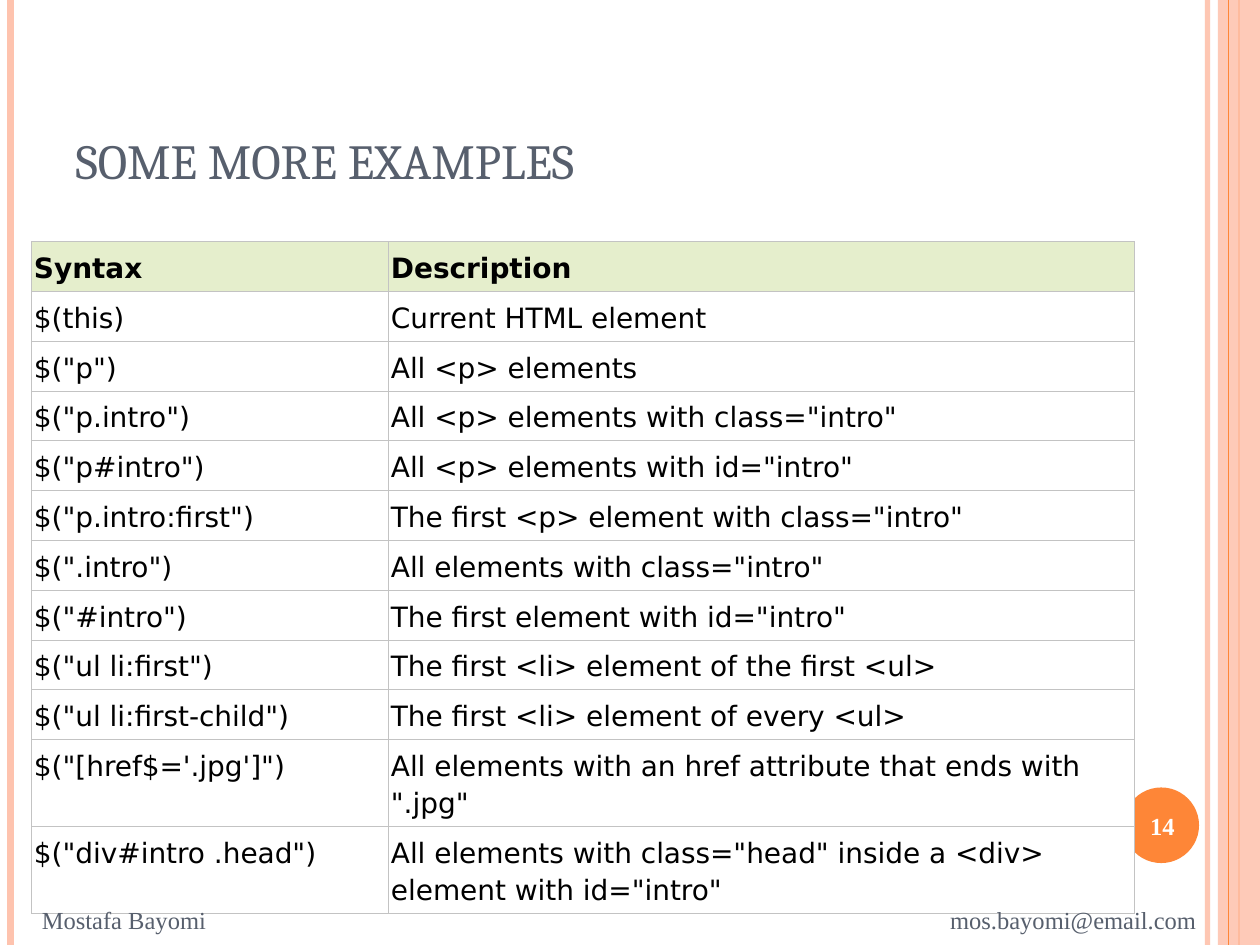
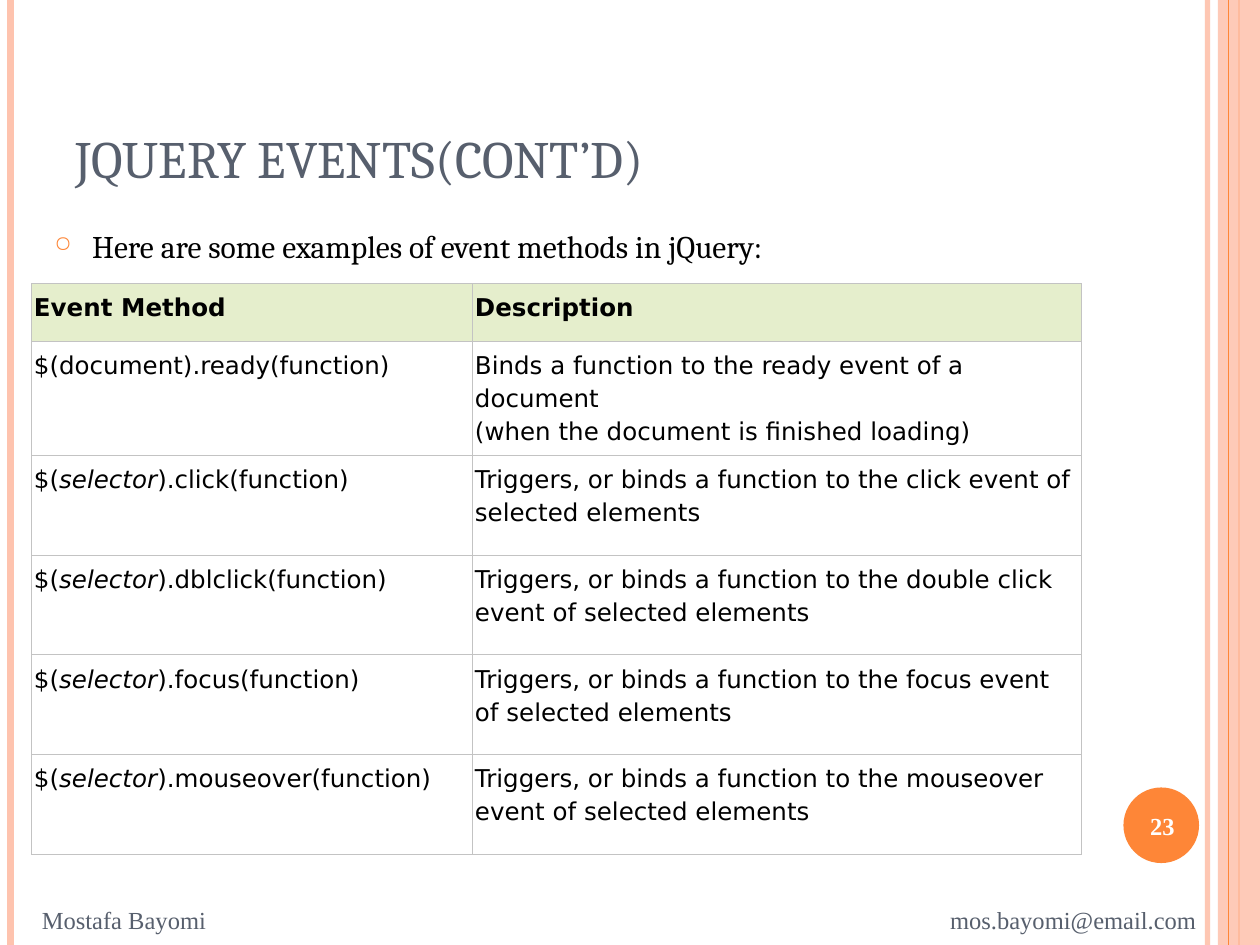
from collections import namedtuple
from copy import deepcopy

from lxml.etree import SubElement
from pptx import Presentation
from pptx.dml.color import RGBColor
from pptx.enum.shapes import MSO_CONNECTOR as Connector, MSO_SHAPE as Preset
from pptx.enum.text import MSO_ANCHOR as Anchor, MSO_AUTO_SIZE as AutoSize, PP_ALIGN as Align
from pptx.oxml.ns import qn
from pptx.util import Inches, Pt

PEACH = RGBColor(0xFE, 0xC3, 0xAE)
ORANGE = RGBColor(0xFE, 0x86, 0x37)
SLATE = RGBColor(0x57, 0x5F, 0x6D)
HEADER_GREEN = RGBColor(0xE5, 0xEE, 0xCC)
BORDER_GREY = RGBColor(0xC3, 0xC3, 0xC3)
WHITE = RGBColor(0xFF, 0xFF, 0xFF)
BLACK = RGBColor(0, 0, 0)

SERIF, SANS, FOOTER_FONT = "Cambria", "DejaVu Sans", "Times New Roman"
COLUMNS, ROWS = 120, 90
UNIT = Inches(10) // COLUMNS
TITLE_ONLY = 5

Box = namedtuple("Box", "left top width height")
PAGE = Box(0, 0, COLUMNS, ROWS)
TITLE = Box(6, 3.6, 98, 15)
BODY = Box(4, 21, 110, 64)
FOOTER = Box(0, 85.2, COLUMNS, 4.8)
BADGE = Box(107, 75, 7.2, 7.2)

SELECTORS = [
    ("Syntax", "Description"),
    ("$(this)", "Current HTML element"),
    ('$("p")', "All <p> elements"),
    ('$("p.intro")', 'All <p> elements with class="intro"'),
    ('$("p#intro")', 'All <p> elements with id="intro"'),
    ('$("p.intro:first")', 'The first <p> element with class="intro"'),
    ('$(".intro")', 'All elements with class="intro"'),
    ('$("#intro")', 'The first element with id="intro"'),
    ('$("ul li:first")', "The first <li> element of the first <ul>"),
    ('$("ul li:first-child")', "The first <li> element of every <ul>"),
    ("$(\"[href$='.jpg']\")", 'All elements with an href attribute that ends with ".jpg"'),
    ('$("div#intro .head")', 'All elements with class="head" inside a <div> element with id="intro"'),
]
TRIGGERS = [("click", "click"), ("dblclick", "double click"), ("focus", "focus"), ("mouseover", "mouseover")]
EVENTS = [
    ("Event Method", "Description"),
    ("$(document).ready(function)",
     "Binds a function to the ready event of a document\n(when the document is finished loading)"),
] + [
    (f"$(*selector*).{method}(function)",
     f"Triggers, or binds a function to the {event} event of selected elements")
    for method, event in TRIGGERS
]


def place(box):
    """Turn a box in grid units into slide lengths."""
    return [round(length * UNIT) for length in box]


def inside(box, left, top, width, height):
    """Return a box whose corner is offset from another box."""
    return Box(box.left + left, box.top + top, width, height)


def style_runs(paragraph, font_name, size, color, bold=False):
    """Format every run and line break of a paragraph."""
    for run in paragraph.runs:
        run.font.name, run.font.size, run.font.bold = font_name, Pt(size), bold
        run.font.color.rgb = color
    for line_break in paragraph._p.findall(qn("a:br")):
        line_break.append(deepcopy(paragraph.runs[0]._r.rPr))


def set_opacity(shape, percent):
    """Make the explicit colours of a shape translucent."""
    for color in shape._element.spPr.iter(qn("a:srgbClr")):
        SubElement(color, qn("a:alpha"), val=str(percent * 1000))


def add_stripe(slide, box, column, color, width):
    """Draw a full-height vertical line at a column of the box."""
    left, top, _, height = place(inside(box, column, 0, 0, box.height))
    stripe = slide.shapes.add_connector(Connector.STRAIGHT, left, top, left, top + height)
    stripe.line.color.rgb, stripe.line.width = color, Pt(width)
    SubElement(stripe._element.spPr, qn("a:effectLst"))
    return stripe


def add_block(slide, preset, box, color):
    """Draw a plain filled shape."""
    block = slide.shapes.add_shape(preset, *place(box))
    block.shadow.inherit = False
    block.fill.solid()
    block.fill.fore_color.rgb = color
    block.line.fill.background()
    return block


def add_bands(slide, box):
    """Draw the edge bands and the badge circle."""
    set_opacity(add_stripe(slide, box, 115, PEACH, 3), 93)
    add_stripe(slide, box, 1, PEACH, 4.5)
    add_stripe(slide, box, 118, ORANGE, 1.5)
    set_opacity(add_block(slide, Preset.RECTANGLE, inside(box, 116, 0, 4, box.height), PEACH), 87)
    add_stripe(slide, box, 117, ORANGE, 0.75)
    add_block(slide, Preset.OVAL, BADGE, ORANGE)


def add_text(slide, box, text, font_name, size, color, bold=False, anchor=Anchor.MIDDLE, align=Align.LEFT):
    """Add a wrapped text box and return its paragraph."""
    text_frame = slide.shapes.add_textbox(*place(box)).text_frame
    text_frame.word_wrap = True
    text_frame.vertical_anchor = anchor
    text_frame.text = text
    paragraph = text_frame.paragraphs[0]
    paragraph.alignment = align
    style_runs(paragraph, font_name, size, color, bold)
    return paragraph


def add_footer(slide, box, number):
    """Add the slide number, the author and the address."""
    add_text(slide, inside(BADGE, -0.3, 0.2, 8, 6.9), str(number), FOOTER_FONT, 14, WHITE,
             bold=True, align=Align.CENTER)
    for left, width, text in ((2.8, 21.6, "Mostafa Bayomi"), (89.3, 26, "mos.bayomi@email.com")):
        add_text(slide, inside(box, left, 0, width, box.height), text, FOOTER_FONT, 14, SLATE)


def set_title(slide, box, text, size):
    """Move, fill and format the title placeholder."""
    title = slide.shapes.title
    title.left, title.top, title.width, title.height = place(box)
    text_frame = title.text_frame
    text_frame.text = text
    text_frame.auto_size = AutoSize.NONE
    text_frame.vertical_anchor = Anchor.BOTTOM
    text_frame.paragraphs[0].alignment = Align.LEFT
    style_runs(text_frame.paragraphs[0], SERIF, size, SLATE)


def add_bullet(slide, box, text):
    """Add one hanging line with an orange ring as bullet."""
    paragraph = add_text(slide, box, text, SERIF, 18, BLACK, anchor=Anchor.TOP)
    paragraph.space_before = Pt(6)
    properties = paragraph._p.get_or_add_pPr()
    properties.set("marL", str(Inches(0.3)))
    properties.set("indent", str(-Inches(0.3)))
    color = SubElement(properties, qn("a:buClr"))
    SubElement(color, qn("a:srgbClr"), val=str(ORANGE))
    SubElement(properties, qn("a:buSzPct"), val="70000")
    SubElement(properties, qn("a:buChar"), char="○")


def add_borders(cell):
    """Give a cell thin grey edges."""
    properties = cell._tc.get_or_add_tcPr()
    for index, edge in enumerate(("lnL", "lnR", "lnT", "lnB")):
        line = properties.makeelement(qn(f"a:{edge}"), {"w": str(Pt(0.45))})
        fill = SubElement(line, qn("a:solidFill"))
        SubElement(fill, qn("a:srgbClr"), val=str(BORDER_GREY))
        properties.insert(index, line)


def fill_cell(cell, text, size, is_header):
    """Write a cell, with text between asterisks in italics."""
    cell.margin_left = cell.margin_right = Inches(0.02)
    cell.margin_top = cell.margin_bottom = Inches(0.05)
    cell.fill.solid()
    cell.fill.fore_color.rgb = HEADER_GREEN if is_header else WHITE
    add_borders(cell)
    paragraph = cell.text_frame.paragraphs[0]
    paragraph.line_spacing = 1.15
    first, *others = text.split("*")
    paragraph.text = first
    for index, part in enumerate(others):
        run = paragraph.add_run()
        run.text, run.font.italic = part, index % 2 == 0
    style_runs(paragraph, SANS, size, BLACK, is_header)


def add_grid(slide, corner, widths, heights, records, size):
    """Build a two-column table with a green header row."""
    box = Box(*corner, sum(widths), sum(heights))
    table = slide.shapes.add_table(len(records), len(widths), *place(box)).table
    table.first_row = table.horz_banding = False
    for column, width in zip(table.columns, widths):
        column.width = round(width * UNIT)
    for index, (row, height, record) in enumerate(zip(table.rows, heights, records)):
        row.height = round(height * UNIT)
        for cell, text in zip(row.cells, record):
            fill_cell(cell, text, size, index == 0)


def start_slide(presentation, title, title_size):
    """Add a slide with its bands and title."""
    slide = presentation.slides.add_slide(presentation.slide_layouts[TITLE_ONLY])
    add_bands(slide, PAGE)
    set_title(slide, TITLE, title, title_size)
    return slide


def add_selector_slide(presentation):
    """Build the slide that lists selectors."""
    slide = start_slide(presentation, "SOME MORE EXAMPLES", 28)
    add_grid(slide, (3, 23), (34, 71), [4.7] * 10 + [7.9] * 2, SELECTORS, 16)
    add_footer(slide, FOOTER, 14)


def add_event_slide(presentation):
    """Build the slide that lists event methods."""
    slide = start_slide(presentation, "JQUERY EVENTS(CONT’D)", 30)
    add_bullet(slide, BODY, "Here are some examples of event methods in jQuery:")
    add_grid(slide, (3, 27), (42, 58), [5.5, 10.2] + [9.5] * 4, EVENTS, 14)
    add_footer(slide, FOOTER, 23)


def main():
    """Build and save the presentation."""
    presentation = Presentation()
    presentation.slide_width, presentation.slide_height = COLUMNS * UNIT, ROWS * UNIT
    add_selector_slide(presentation)
    add_event_slide(presentation)
    presentation.save("out.pptx")


if __name__ == "__main__":
    main()
